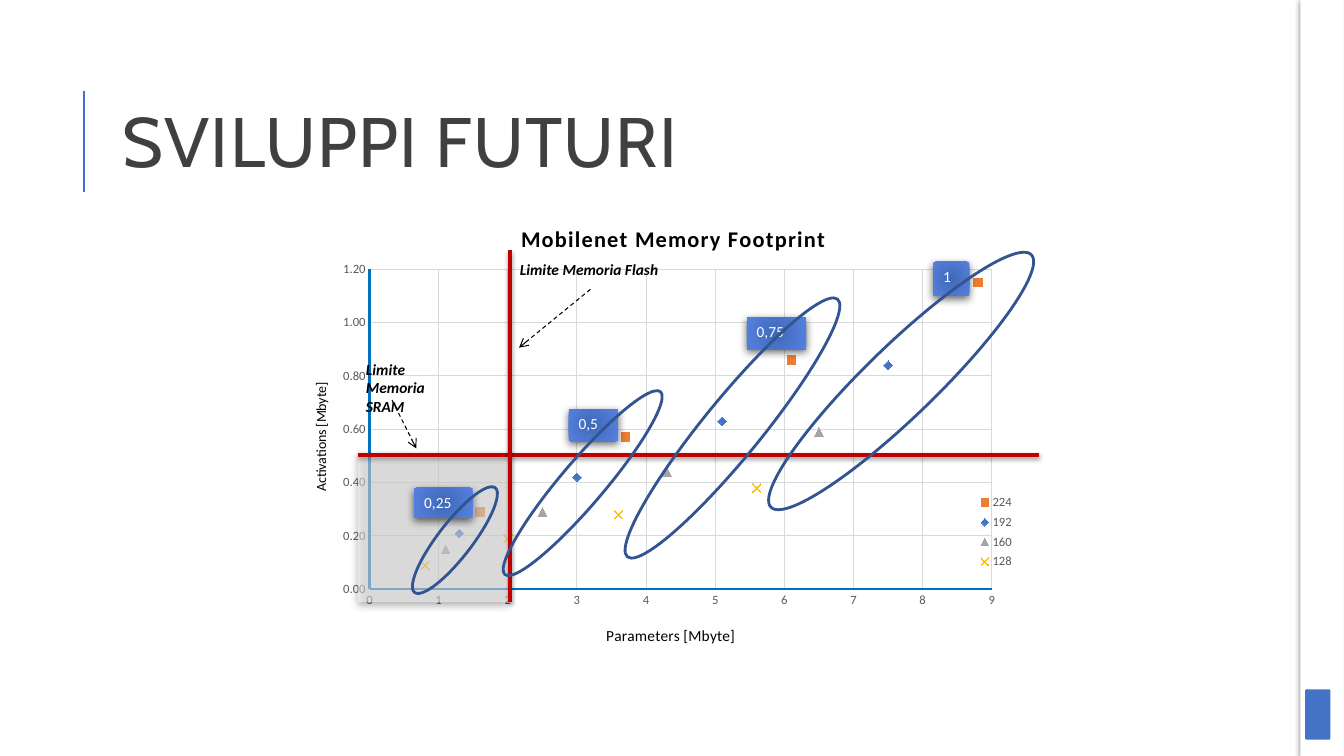
import lxml.etree
import pptx
import pptx.chart.data
import pptx.enum.chart
import pptx.enum.dml
import pptx.enum.shapes
import pptx.enum.text
import pptx.oxml
import pptx.oxml.ns
import pptx.util
from pptx.dml.color import RGBColor
from pptx.util import Cm, Pt

COLORS = {
    "white": "FFFFFF", "black": "000000", "title": "404040", "accent": "4472C4",
    "limit": "C00000", "ellipse": "325491", "badge_in": "3F6AB6", "badge_out": "5680E1",
    "axis": "0070C0", "grid": "D9D9D9", "label": "595959",
    "224": "ED7D31", "192": "4472C4", "160": "A5A5A5", "128": "FFC000",
}
qn = pptx.oxml.ns.qn
SHAPE = pptx.enum.shapes.MSO_SHAPE
STRAIGHT = pptx.enum.shapes.MSO_CONNECTOR.STRAIGHT


def set_font(font, color, **values):
    for name, value in values.items():
        setattr(font, name, value)
    font.color.rgb = RGBColor.from_string(COLORS[color])


def set_shadow(item, alpha=0, blur=0, distance=0):
    effects = lxml.etree.SubElement(item._element.spPr, qn("a:effectLst"))
    if alpha:
        shadow = lxml.etree.SubElement(effects, qn("a:outerShdw"), blurRad=str(Pt(blur)),
                                       dist=str(Pt(distance)), dir="5400000", rotWithShape="0")
        color = lxml.etree.SubElement(shadow, qn("a:srgbClr"), val=COLORS["black"])
        lxml.etree.SubElement(color, qn("a:alpha"), val=str(alpha * 1000))


deck = pptx.Presentation()
deck.slide_width, deck.slide_height = Cm(33.87), Cm(19.05)
page = deck.slides.add_slide(deck.slide_layouts[6])
shapes = page.shapes

# Page frame: title rule and right-hand strip
rule = shapes.add_connector(STRAIGHT, Cm(2.11), Cm(4.83), Cm(2.11), Cm(2.29))
rule.line.color.rgb = RGBColor.from_string(COLORS["accent"])
rule.line.width = Pt(1.5)
set_shadow(rule)
for kind, place, color, shadow in [
    (SHAPE.RECTANGLE, (32.77, 0, 0.99, 19.05), "white", (50, 4, 1)),
    (SHAPE.ROUNDED_RECTANGLE, (32.89, 17.37, 0.64, 1.27), "accent", ()),
    (SHAPE.RECTANGLE, (33.73, 0, 0.13, 19.05), "white", ()),
]:
    part = shapes.add_shape(kind, *map(Cm, place))
    part.fill.solid()
    part.fill.fore_color.rgb = RGBColor.from_string(COLORS[color])
    part.line.fill.background()
    if kind == SHAPE.ROUNDED_RECTANGLE:
        part.adjustments[0] = 0.07
    set_shadow(part, *shadow)

# Title
box = shapes.add_textbox(Cm(2.84), Cm(1.63), Cm(27), Cm(4.17))
box.text_frame.word_wrap = True
box.text_frame.vertical_anchor = pptx.enum.text.MSO_ANCHOR.MIDDLE
para = box.text_frame.paragraphs[0]
para.line_spacing = 0.8
span = para.add_run()
span.text = "SVILUPPI FUTURI"
set_font(span.font, "title", name="Cabin", size=Pt(50))
span.font._element.set("spc", "90")

# Scatter chart
points = {
    "224": ([8.8, 6.1, 3.7, 1.6], [1.15, 0.86, 0.57, 0.29], "SQUARE"),
    "192": ([7.5, 5.1, 3, 1.3], [0.84, 0.63, 0.42, 0.21], "DIAMOND"),
    "160": ([6.5, 4.3, 2.5, 1.1], [0.59, 0.44, 0.29, 0.15], "TRIANGLE"),
    "128": ([5.6, 3.6, 2, 0.8], [0.38, 0.28, 0.19, 0.09], "X"),
}
data = pptx.chart.data.XyChartData()
for name, (parameters, activations, marker) in points.items():
    series = data.add_series(name)
    for x, y in zip(parameters, activations):
        series.add_data_point(x, y)
chart = shapes.add_chart(pptx.enum.chart.XL_CHART_TYPE.XY_SCATTER,
                         Cm(7.21), Cm(4.98), Cm(19.46), Cm(11.71), data).chart
set_font(chart.font, "black", name="Arial", size=Pt(10))
chart.plots[0].vary_by_categories = False
for series in chart.plots[0].series:
    color = RGBColor.from_string(COLORS[series.name])
    series.smooth = False
    series.format.line.fill.background()
    series.marker.style = getattr(pptx.enum.chart.XL_MARKER_STYLE, points[series.name][2])
    series.marker.size = 6
    if series.name == "128":
        series.marker.format.fill.background()
    else:
        series.marker.format.fill.solid()
        series.marker.format.fill.fore_color.rgb = color
    series.marker.format.line.color.rgb = color

# Axes, titles and legend
chart.has_title = chart.has_legend = True
titles = [(chart.chart_title, "Mobilenet Memory Footprint", 16, True)]
for axis, title, size, top, step, number_format in [
    (chart.category_axis, "Parameters [Mbyte]", 11, 9, 1, "0"),
    (chart.value_axis, "Activations [Mbyte]", 10, 1.2, 0.2, "0.00"),
]:
    for name, value in {"minimum_scale": 0, "maximum_scale": top, "major_unit": step,
                        "has_major_gridlines": True, "has_title": True,
                        "major_tick_mark": pptx.enum.chart.XL_TICK_MARK.NONE,
                        "minor_tick_mark": pptx.enum.chart.XL_TICK_MARK.NONE}.items():
        setattr(axis, name, value)
    axis.tick_labels.number_format = number_format
    axis.tick_labels.number_format_is_linked = False
    set_font(axis.tick_labels.font, "label", name="Calibri", size=Pt(9))
    for line, color, width in [(axis.format.line, "axis", 1.5),
                               (axis.major_gridlines.format.line, "grid", 0.75)]:
        line.color.rgb = RGBColor.from_string(COLORS[color])
        line.width = Pt(width)
    titles.append((axis.axis_title, title, size, False))
for title, words, size, bold in titles:
    span = title.text_frame.paragraphs[0].add_run()
    span.text = words
    set_font(span.font, "black", name="Calibri", size=Pt(size), bold=bold)
    if bold:
        span.font._element.set("spc", "100")
chart.legend.position = pptx.enum.chart.XL_LEGEND_POSITION.RIGHT
chart.legend.include_in_layout = False
set_font(chart.legend.font, "label", name="Calibri", size=Pt(9))

# Places inside the chart, as fractions of its size
for owner, place in [
    (chart._chartSpace.chart.plotArea, {"x": 0.108, "y": 0.154, "w": 0.806, "h": 0.689}),
    (chart.legend._element, {"x": 0.89, "y": 0.63, "w": 0.06, "h": 0.18}),
    (chart.chart_title._element, {"x": 0.299, "y": 0.047}),
    (chart.category_axis.axis_title._element, {"x": 0.411, "y": 0.913}),
    (chart.value_axis.axis_title._element, {"x": 0.03, "y": 0.392}),
]:
    for old in owner.findall(qn("c:layout")):
        owner.remove(old)
    layout = pptx.oxml.parse_xml(f'<c:layout {pptx.oxml.ns.nsdecls("c")}/>')
    manual = lxml.etree.SubElement(layout, qn("c:manualLayout"))
    if owner.tag == qn("c:plotArea"):
        lxml.etree.SubElement(manual, qn("c:layoutTarget"), val="inner")
    for key in "xy":
        lxml.etree.SubElement(manual, qn(f"c:{key}Mode"), val="edge")
    for key, value in place.items():
        lxml.etree.SubElement(manual, qn(f"c:{key}"), val=str(value))
    overlay = owner.find(qn("c:overlay"))
    if overlay is None:
        owner.insert(0, layout)
    else:
        overlay.addprevious(layout)

# Feasible area and memory limits
area = shapes.add_shape(SHAPE.RECTANGLE, Cm(9.02), Cm(11.46), Cm(3.78), Cm(3.71))
area.fill.solid()
area.fill.fore_color.rgb = RGBColor.from_string(COLORS["white"])
tint = area._element.spPr.find(qn("a:solidFill"))[0]
lxml.etree.SubElement(tint, qn("a:alpha"), val="50000")
area.line.fill.background()
set_shadow(area, 60, 6, 2)
for ends in [(9.02, 11.46, 26.19, 11.46), (12.85, 15.16, 12.85, 6.3)]:
    limit = shapes.add_connector(STRAIGHT, *map(Cm, ends))
    limit.line.color.rgb = RGBColor.from_string(COLORS["limit"])
    limit.line.width = Pt(3)
    set_shadow(limit, 35, 3.1, 1.8)

# Width multiplier badges
for words, place in [
    ("0,25", (10.44, 12.29, 1.47, 0.76)), ("1", (23.52, 6.6, 0.91, 0.86)),
    ("0,75", (18.82, 8, 1.5, 0.81)), ("0,5", (14.33, 10.31, 1.24, 0.81)),
]:
    badge = shapes.add_shape(SHAPE.RECTANGLE, *map(Cm, place))
    badge.fill.gradient()
    for stop, color in zip(badge.fill.gradient_stops, ("badge_in", "badge_out")):
        stop.color.rgb = RGBColor.from_string(COLORS[color])
    gradient = badge._element.spPr.find(qn("a:gradFill"))
    gradient.remove(gradient.find(qn("a:lin")))
    circle = lxml.etree.SubElement(gradient, qn("a:path"), path="circle")
    lxml.etree.SubElement(circle, qn("a:fillToRect"), l="50000", t="50000", r="50000", b="50000")
    badge.line.fill.background()
    set_shadow(badge, 60, 6, 2)
    badge.text_frame.vertical_anchor = pptx.enum.text.MSO_ANCHOR.TOP
    para = badge.text_frame.paragraphs[0]
    para.alignment = pptx.enum.text.PP_ALIGN.LEFT
    span = para.add_run()
    span.text = words
    set_font(span.font, "white", name="Calibri", size=Pt(11))

# Ellipses around each multiplier
for place, angle in [
    ((14.27, 10.06, 8.38, 1.45), 309.2), ((9.8, 13.18, 3.33, 0.86), 307.6),
    ((11.66, 11.63, 6.05, 1.09), 310.4), ((18.14, 8.71, 9.14, 1.78), 315.9),
]:
    ellipse = shapes.add_shape(SHAPE.OVAL, *map(Cm, place))
    ellipse.rotation = angle
    ellipse.fill.background()
    ellipse.line.color.rgb = RGBColor.from_string(COLORS["ellipse"])
    ellipse.line.width = Pt(2)
    set_shadow(ellipse)

# Limit labels with dashed arrows
for lines, place, ends in [
    (["Limite Memoria Flash"], (12.85, 6.43, 6.71, 1.17), (14.88, 7.29, 13.08, 8.76)),
    (["Limite Memoria", "SRAM"], (8.97, 8.94, 2.9, 1.22), (9.88, 10.08, 10.49, 11.3)),
]:
    box = shapes.add_textbox(*map(Cm, place))
    box.text_frame.word_wrap = True
    box.text_frame.text = "\n".join(lines)
    for para in box.text_frame.paragraphs:
        set_font(para.runs[0].font, "black", name="Calibri", size=Pt(11), bold=True, italic=True)
    arrow = shapes.add_connector(STRAIGHT, *map(Cm, ends))
    arrow.line.color.rgb = RGBColor.from_string(COLORS["black"])
    arrow.line.width = Pt(0.75)
    arrow.line.dash_style = pptx.enum.dml.MSO_LINE.DASH
    lxml.etree.SubElement(arrow._element.spPr.find(qn("a:ln")), qn("a:tailEnd"), type="arrow")
    set_shadow(arrow)

deck.save("out.pptx")
